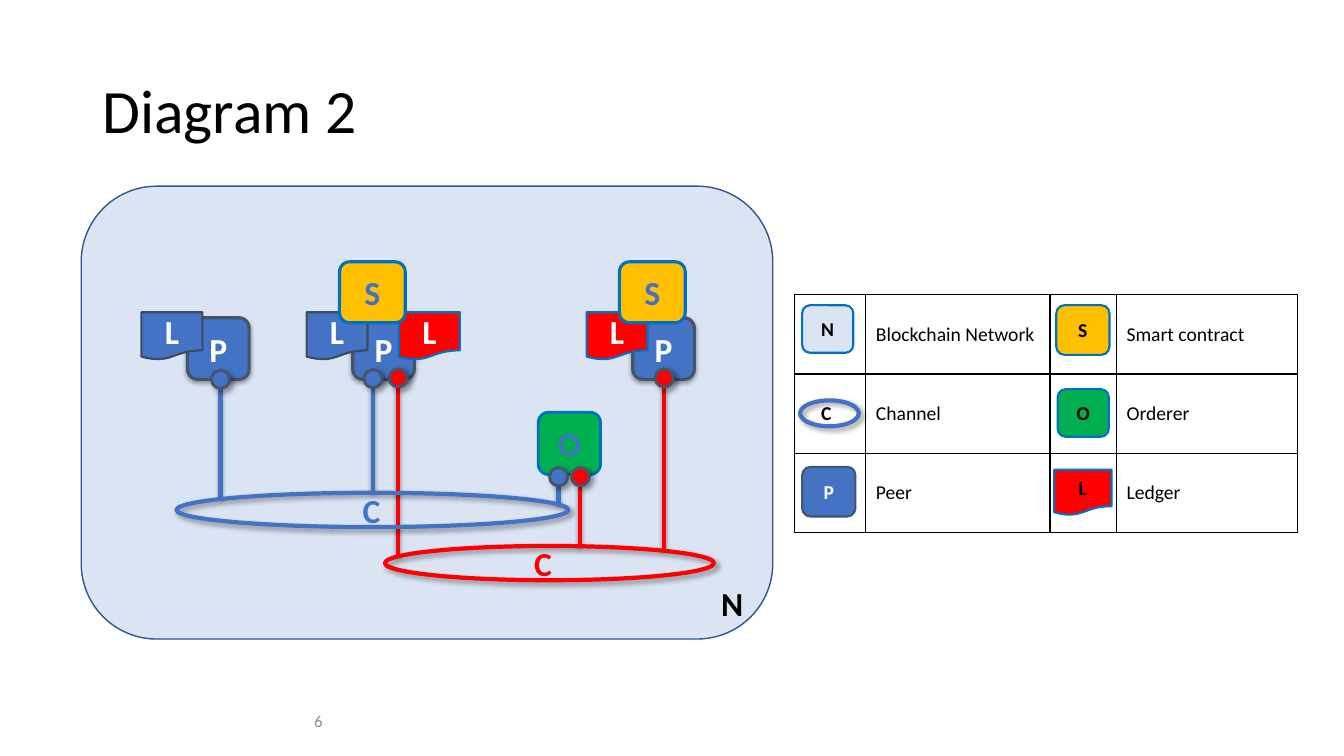
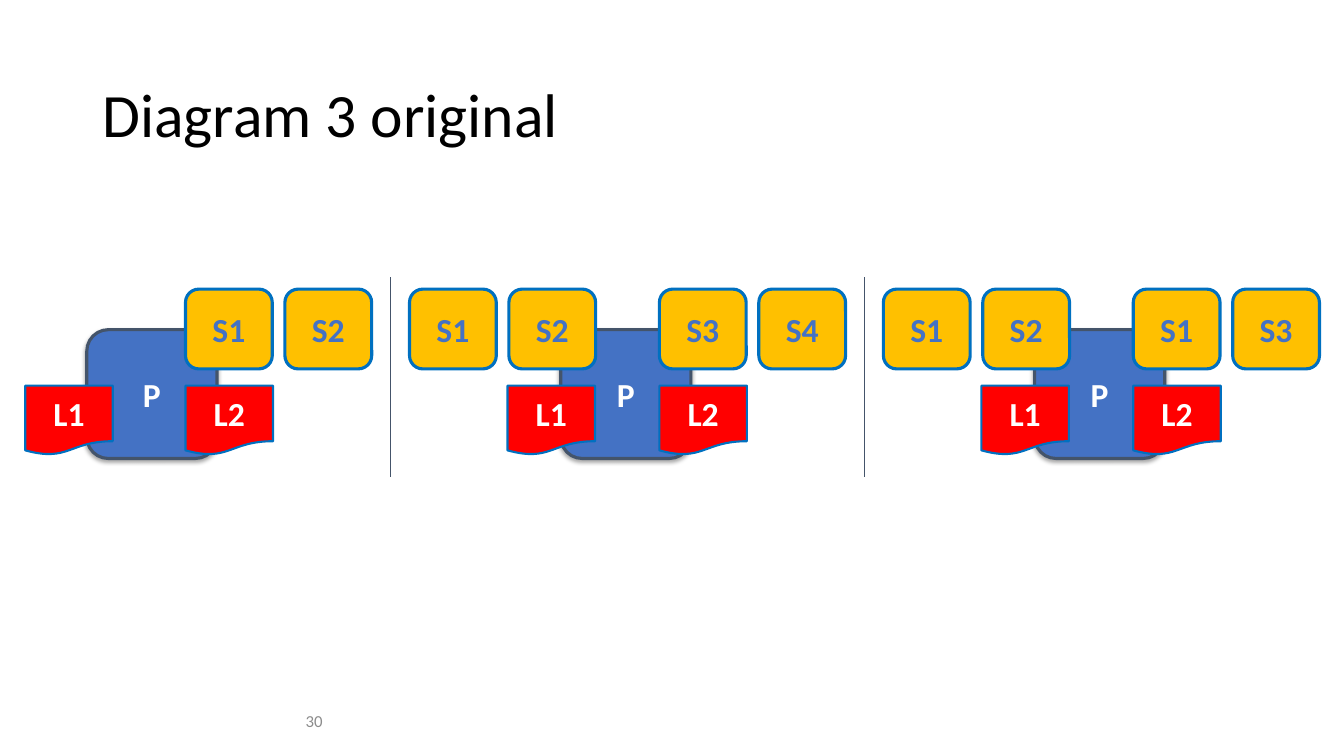
import lxml.etree
import pptx
import pptx.dml.color
import pptx.enum.shapes
import pptx.enum.text
import pptx.oxml.ns
import pptx.util

Pt = pptx.util.Pt
qn = pptx.oxml.ns.qn
PRESET = pptx.enum.shapes.MSO_SHAPE
ALIGN = pptx.enum.text.PP_ALIGN
MIDDLE = pptx.enum.text.MSO_ANCHOR.MIDDLE

# Shared look
FONT = "Calibri"
BLACK, WHITE, GREY = "000000", "FFFFFF", "8C8C8C"
BLUE, RED, AMBER, GREEN = "4472C4", "FF0000", "FFC000", "00B050"
PALE, NAVY, SLATE, DARK_SLATE, AZURE = "DBE4F3", "325491", "44546A", "3D4B5F", "0070C0"

# Shadows: opacity %, blur, distance, direction in degrees
PEER_SHADOW = (35, 3.1, 1.8, 90)
LINK_SHADOW = (38, 3.1, 1.6, 90)
ROUND_SHADOW = (40, 4, 3, 45)


def colour(hex_value):
    return pptx.dml.color.RGBColor.from_string(hex_value)


def format_text(frame, size, ink, bold=False, align=ALIGN.LEFT):
    for paragraph in frame.paragraphs:
        paragraph.alignment = align
        for run in paragraph.runs:
            run.font.name = FONT
            run.font.size = Pt(size)
            run.font.bold = bold
            run.font.color.rgb = colour(ink)


def add_shadow(effects, opacity, blur, distance, degrees):
    outer = lxml.etree.SubElement(
        effects, qn("a:outerShdw"), blurRad=str(Pt(blur)), dist=str(Pt(distance)),
        dir=str(degrees * 60000), algn="ctr", rotWithShape="0")
    tint = lxml.etree.SubElement(outer, qn("a:srgbClr"), val=BLACK)
    lxml.etree.SubElement(tint, qn("a:alpha"), val=str(opacity * 1000))


def add_node(shapes, preset, box, fill, line, weight, label="", ink=WHITE,
             size=24, shadow=None):
    node = shapes.add_shape(preset, *[Pt(length) for length in box])
    if fill:
        node.fill.solid()
        node.fill.fore_color.rgb = colour(fill)
    else:
        node.fill.background()
    node.line.color.rgb = colour(line)
    node.line.width = Pt(weight)
    node.shadow.inherit = False
    if shadow:
        add_shadow(node._element.spPr.find(qn("a:effectLst")), *shadow)
    if label:
        node.text_frame.text = label
        node.text_frame.vertical_anchor = MIDDLE
        format_text(node.text_frame, size, ink, True, ALIGN.CENTER)
    return node


def add_peer(shapes, x, y, width, height):
    peer = add_node(shapes, PRESET.ROUNDED_RECTANGLE, (x, y, width, height),
                    BLUE, SLATE, 2.25, "P", shadow=PEER_SHADOW)
    peer.text_frame.margin_top = peer.text_frame.margin_bottom = Pt(3)


def add_ledger(shapes, x, y, width, height, label="L", fill=RED):
    line = AZURE if fill == RED else DARK_SLATE
    add_node(shapes, PRESET.FLOWCHART_DOCUMENT, (x, y, width, height),
             fill, line, 1.5, label)


def add_contract(shapes, x, y, width, height, label="S"):
    add_node(shapes, PRESET.ROUNDED_RECTANGLE, (x, y, width, height),
             AMBER, AZURE, 2.25, label, BLUE)


def add_channel(shapes, box, line):
    add_node(shapes, PRESET.OVAL, box, None, line, 3, shadow=ROUND_SHADOW)


def add_line(shapes, x, top, bottom, ink, weight, shadow=None):
    line = shapes.add_connector(pptx.enum.shapes.MSO_CONNECTOR.STRAIGHT,
                                Pt(x), Pt(top), Pt(x), Pt(bottom))
    line.line.color.rgb = colour(ink)
    line.line.width = Pt(weight)
    effects = lxml.etree.SubElement(line._element.spPr, qn("a:effectLst"))
    if shadow:
        add_shadow(effects, *shadow)


def add_link(shapes, x, port_top, channel_y, ink):
    """Line from a round port down to a channel."""
    port = 13
    add_line(shapes, x, port_top + port, channel_y, ink, 3, LINK_SHADOW)
    add_node(shapes, PRESET.OVAL, (x - port / 2, port_top, port, port),
             ink, SLATE, 2, shadow=ROUND_SHADOW)


def add_label(shapes, box, text, size, ink, bold=True, align=ALIGN.LEFT):
    label = shapes.add_textbox(*[Pt(length) for length in box])
    label.text_frame.word_wrap = True
    label.text_frame.text = text
    format_text(label.text_frame, size, ink, bold, align)
    return label


def add_titled_slide(deck, title, title_top, number):
    slide = deck.slides.add_slide(deck.slide_layouts[5])
    heading = slide.shapes.title
    heading.left, heading.top = Pt(66), Pt(title_top)
    heading.width, heading.height = Pt(828), Pt(104.5)
    heading.text_frame.text = title
    heading.text_frame.vertical_anchor = MIDDLE
    heading.text_frame.paragraphs[0].line_spacing = 0.9
    format_text(heading.text_frame, 44, BLACK)
    footer = add_label(slide.shapes, (21.5, 500.5, 216, 29), number, 12, GREY,
                       False, ALIGN.RIGHT)
    footer.text_frame.vertical_anchor = MIDDLE
    return slide


def add_borders(cell):
    properties = cell._tc.get_or_add_tcPr()
    for index, side in enumerate(("a:lnL", "a:lnR", "a:lnT", "a:lnB")):
        border = lxml.etree.Element(qn(side), w=str(Pt(1)))
        fill = lxml.etree.SubElement(border, qn("a:solidFill"))
        lxml.etree.SubElement(fill, qn("a:srgbClr"), val=BLACK)
        properties.insert(index, border)


def add_legend(shapes):
    rows = [("", "Blockchain Network", "", "Smart contract"),
            ("C", "Channel", "", "Orderer"),
            ("", "Peer", "", "Ledger")]
    widths = (51, 131.5, 47.5, 129.5)
    row_height = 56.6
    legend = shapes.add_table(len(rows), len(widths), Pt(567.5), Pt(210.5),
                              Pt(sum(widths)), Pt(row_height * len(rows))).table
    legend.first_row = legend.horz_banding = False
    for column, width in zip(legend.columns, widths):
        column.width = Pt(width)
    for r, row in enumerate(rows):
        legend.rows[r].height = Pt(row_height)
        for c, text in enumerate(row):
            cell = legend.cell(r, c)
            cell.text = text
            cell.vertical_anchor = MIDDLE
            cell.fill.background()
            format_text(cell.text_frame, 14, BLACK, bold=c == 0)
            add_borders(cell)
    legend.cell(1, 0).margin_left = Pt(19)

    # Legend symbols
    rounded = PRESET.ROUNDED_RECTANGLE
    for preset, box, fill, line, letter, ink in (
            (rounded, (573, 218, 36.5, 34), PALE, AZURE, "N", BLACK),
            (rounded, (754.5, 218, 38, 35.5), AMBER, AZURE, "S", BLACK),
            (rounded, (755.5, 278, 36.5, 34), GREEN, AZURE, "O", BLACK),
            (rounded, (573, 333.5, 38, 35.5), BLUE, SLATE, "P", WHITE),
            (PRESET.FLOWCHART_DOCUMENT, (753, 335.5, 41, 32.5), RED, AZURE, "L", BLACK)):
        add_node(shapes, preset, box, fill, line, 1.5, letter, ink, 14)
    add_channel(shapes, (571.5, 286, 42, 18.5), BLUE)


def build_network(deck):
    shapes = add_titled_slide(deck, "Diagram 2", 29, "6").shapes
    add_node(shapes, PRESET.ROUNDED_RECTANGLE, (58, 133, 494, 323.5), PALE, NAVY, 1)
    add_label(shapes, (508, 412.5, 42, 36), "N", 24, BLACK)

    # Peers with their ledgers (offset, colour) and contracts
    for x, ledgers, has_contract in ((134, [(-33, BLUE)], False),
                                     (252, [(-33, BLUE), (33, RED)], True),
                                     (452, [(-33, RED)], True)):
        add_peer(shapes, x, 227, 44, 44)
        for offset, fill in ledgers:
            add_ledger(shapes, x + offset, 223, 43.5, 34, fill=fill)
        if has_contract:
            add_contract(shapes, x - 9.5, 187, 47, 43.5)
    add_node(shapes, PRESET.ROUNDED_RECTANGLE, (384.5, 294.5, 44.5, 44.5),
             GREEN, AZURE, 2, "O", BLUE)

    # Links to the channels
    for x, port_top, channel_y, ink in (
            (157.5, 264.5, 356, BLUE), (266.5, 264, 352, BLUE), (399, 334, 360, BLUE),
            (284.5, 263.5, 397, RED), (414.5, 334, 390, RED), (474.5, 263.5, 393, RED)):
        add_link(shapes, x, port_top, channel_y, ink)

    # Channels
    for box, label_at, ink in (((275, 390, 235, 24.5), (374.5, 384), RED),
                               ((126, 352, 280, 24.5), (252, 346.5), BLUE)):
        add_channel(shapes, box, ink)
        add_label(shapes, (*label_at, 28, 36), "C", 24, ink)

    add_legend(shapes)


def build_peer_variants(deck):
    slide = add_titled_slide(deck, "Diagram 3 original", 32, "30")
    pitch = 338.5
    right_contract, left_contract = 70.5, -108
    # Contracts left and right of each peer, and offset of the first ledger
    variants = [((), ("S1", "S2"), -44),
                (("S1", "S2"), ("S3", "S4"), -38),
                (("S1", "S2"), ("S1", "S3"), -38)]
    for index, (left, right, first_ledger) in enumerate(variants):
        x = 62 + index * pitch
        shapes = slide.shapes.add_group_shape().shapes
        add_peer(shapes, x, 235.5, 93, 92)
        for label, offset in (("L1", first_ledger), ("L2", right_contract)):
            add_ledger(shapes, x + offset, 275.5, 62.5, 49.5, label)
        for labels, start in ((left, left_contract), (right, right_contract)):
            for place, label in enumerate(labels):
                add_contract(shapes, x + start + 71 * place, 206.5, 62, 57, label)
        if index < len(variants) - 1:
            add_line(slide.shapes, x + 217, 198, 341, SLATE, 0.25)


def main():
    deck = pptx.Presentation()
    deck.slide_width, deck.slide_height = Pt(960), Pt(540)
    build_network(deck)
    build_peer_variants(deck)
    deck.save("out.pptx")


if __name__ == "__main__":
    main()
